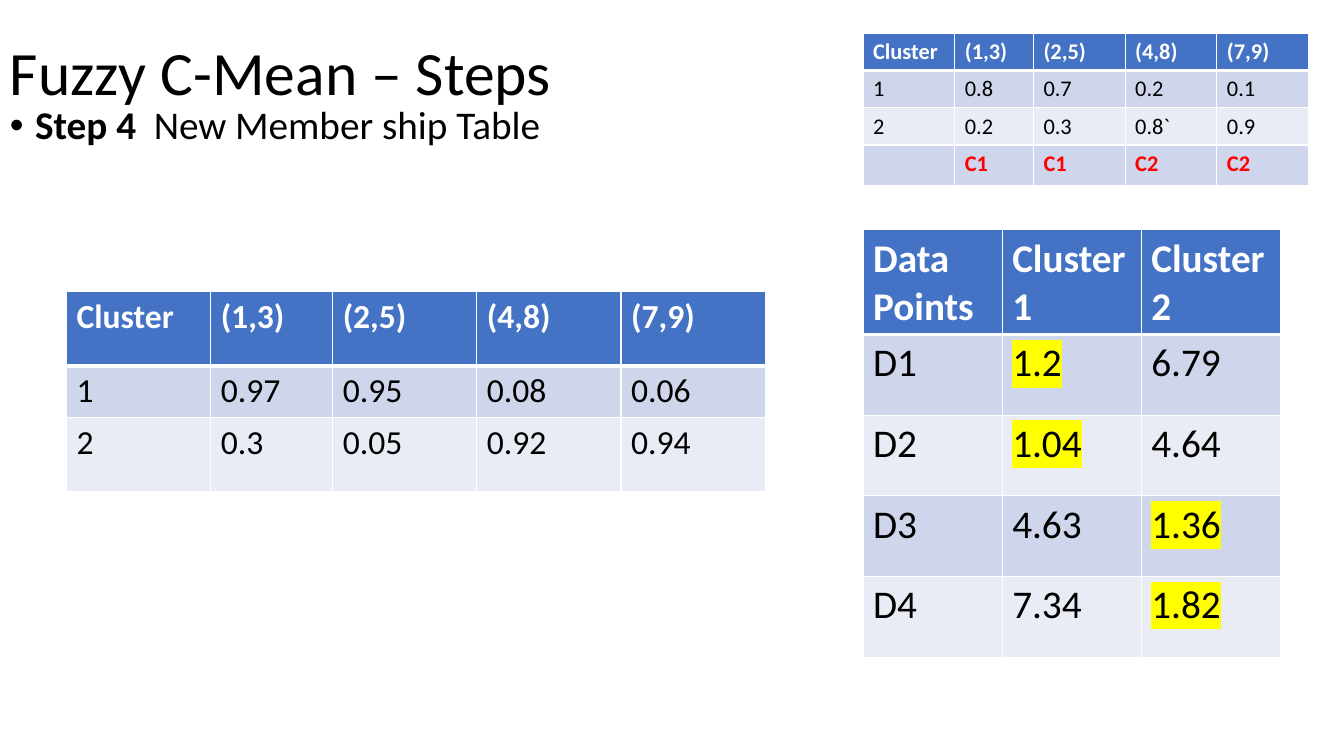
from lxml.etree import SubElement
from pptx import Presentation
from pptx.dml.color import RGBColor
from pptx.enum.text import MSO_VERTICAL_ANCHOR as Anchor
from pptx.oxml import parse_xml
from pptx.oxml.ns import nsdecls, qn
from pptx.util import Inches, Pt

COLORS = {
    "text": "000000", "white": "FFFFFF", "header": "4472C4",
    "odd": "CFD5EA", "even": "E9EBF5", "label": "FF0000", "mark": "FFFF00",
}
POINTS = ["(1,3)", "(2,5)", "(4,8)", "(7,9)"]


def rgb(name):
    return RGBColor.from_string(COLORS[name])


def add_text(paragraph, text, size, color="text", bold=False):
    run = paragraph.add_run()
    run.text = text
    formats = {"name": "Calibri", "size": Pt(size), "bold": bold}
    for key, value in formats.items():
        setattr(run.font, key, value)
    run.font.color.rgb = rgb(color)
    return run


def highlight(run):
    mark = parse_xml(
        f'<a:highlight {nsdecls("a")}><a:srgbClr val="{COLORS["mark"]}"/></a:highlight>')
    run.font.fill._xPr.find(qn("a:solidFill")).addnext(mark)


def add_heading_box(slide, box, anchor):
    frame = slide.shapes.add_textbox(*map(Inches, box)).text_frame
    frame.word_wrap = True
    frame.vertical_anchor = anchor
    paragraph = frame.paragraphs[0]
    paragraph.line_spacing = 0.9
    return paragraph


def add_title(slide, box):
    add_text(add_heading_box(slide, box, Anchor.MIDDLE), "Fuzzy C-Mean – Steps", 44)


def add_step(slide, box):
    step = add_heading_box(slide, box, Anchor.TOP)
    properties = step._p.get_or_add_pPr()
    indent = Inches(0.25)
    properties.set("marL", str(indent))
    properties.set("indent", str(-indent))
    SubElement(properties, qn("a:buFont"), typeface="Arial")
    SubElement(properties, qn("a:buChar"), char="•")
    add_text(step, "Step 4 ", 28, bold=True)
    add_text(step, " New Member ship Table", 28)


def add_borders(cell, is_header):
    properties = cell._tc.get_or_add_tcPr()
    for side in "LRTB":
        width = Pt(3 if is_header and side == "B" else 1)
        properties.append(parse_xml(
            f'<a:ln{side} {nsdecls("a")} w="{width}"><a:solidFill>'
            f'<a:srgbClr val="{COLORS["white"]}"/></a:solidFill></a:ln{side}>'))


def add_grid(slide, left, top, widths, heights, rows, size, marked=()):
    grid = slide.shapes.add_table(
        len(rows), len(widths), Inches(left), Inches(top),
        Inches(sum(widths)), Inches(sum(heights))).table
    for column, width in zip(grid.columns, widths):
        column.width = Inches(width)
    for r, (row, height) in enumerate(zip(rows, heights)):
        grid.rows[r].height = Inches(height)
        band = "header" if r == 0 else "odd" if r % 2 else "even"
        for c, value in enumerate(row):
            cell = grid.cell(r, c)
            add_borders(cell, r == 0)
            cell.fill.solid()
            cell.fill.fore_color.rgb = rgb(band)
            is_label = value in ("C1", "C2")
            color = "white" if r == 0 else "label" if is_label else "text"
            run = add_text(cell.text_frame.paragraphs[0], value, size,
                           color, r == 0 or is_label)
            if (r, c) in marked:
                highlight(run)


def add_previous_membership(slide, left, top):
    rows = [["Cluster", *POINTS],
            ["1", "0.8", "0.7", "0.2", "0.1"],
            ["2", "0.2", "0.3", "0.8`", "0.9"],
            ["", "C1", "C1", "C2", "C2"]]
    add_grid(slide, left, top, [0.91, 0.78, 0.91, 0.91, 0.91], [0.37] * 4, rows, 16)


def add_distances(slide, left, top):
    rows = [["Data Points", "Cluster 1", "Cluster 2"],
            ["D1", "1.2", "6.79"],
            ["D2", "1.04", "4.64"],
            ["D3", "4.63", "1.36"],
            ["D4", "7.34", "1.82"]]
    nearest = {(1, 1), (2, 1), (3, 2), (4, 2)}
    add_grid(slide, left, top, [1.38] * 3, [1.04] + [0.8] * 4, rows, 28, nearest)


def add_new_membership(slide, left, top):
    rows = [["Cluster", *POINTS],
            ["1", "0.97", "0.95", "0.08", "0.06"],
            ["2", "0.3", "0.05", "0.92", "0.94"]]
    add_grid(slide, left, top, [1.43, 1.21, 1.43, 1.43, 1.43],
             [0.74, 0.51, 0.74], rows, 24)


def main():
    deck = Presentation()
    deck.slide_width = Inches(13.33)
    deck.slide_height = Inches(7.5)
    slide = deck.slides.add_slide(deck.slide_layouts[6])
    add_title(slide, (0, 0.02, 11.5, 1.45))
    add_step(slide, (0, 1, 11.5, 5.5))
    add_previous_membership(slide, 8.56, 0.33)
    add_distances(slide, 8.56, 2.28)
    add_new_membership(slide, 0.66, 2.89)
    deck.save("out.pptx")


if __name__ == "__main__":
    main()
